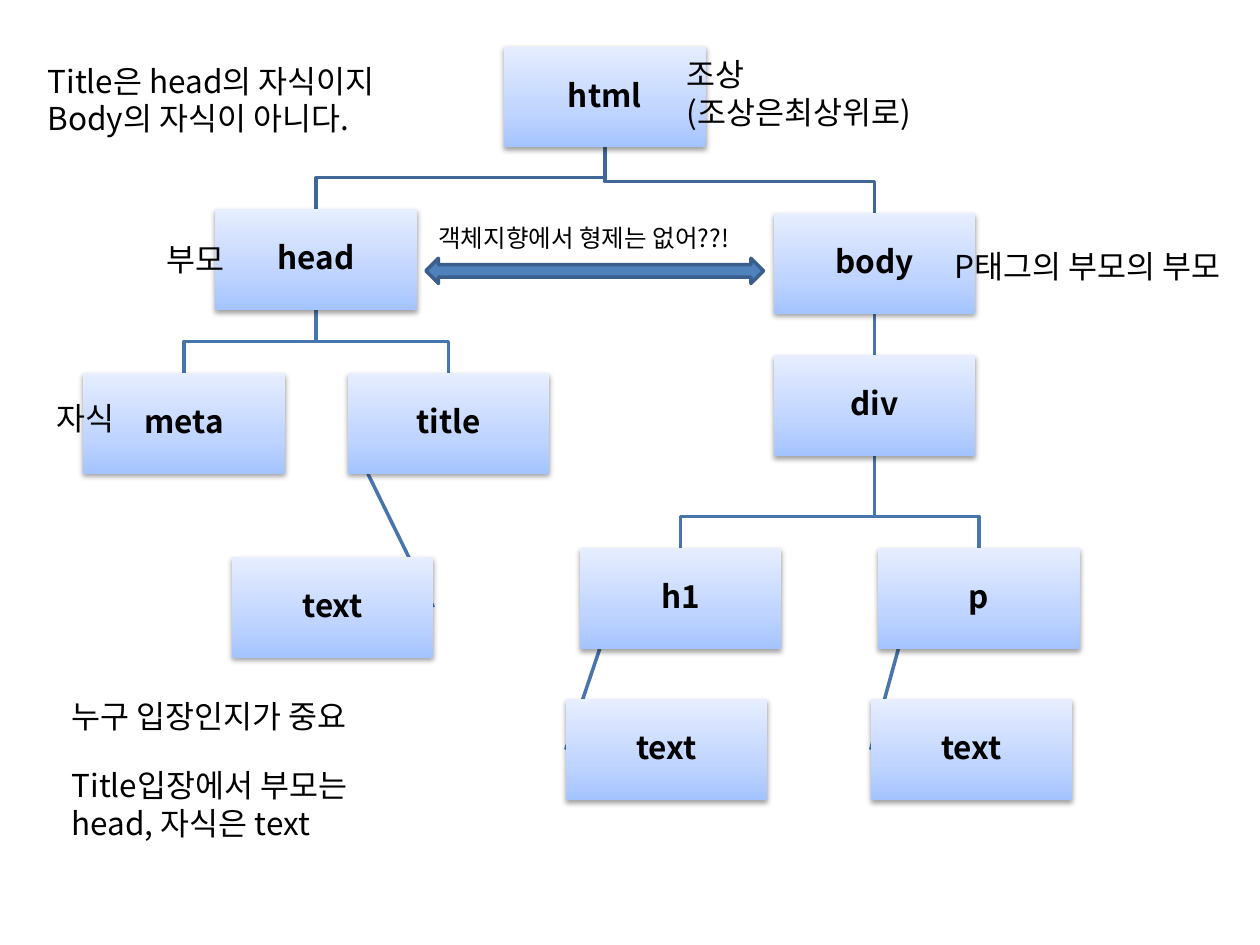
from copy import deepcopy

from lxml.etree import SubElement
from pptx import Presentation
from pptx.dml.color import RGBColor as RGB
from pptx.enum.shapes import MSO_CONNECTOR as CONNECTOR, MSO_SHAPE as SHAPE
from pptx.enum.text import MSO_ANCHOR as ANCHOR, MSO_AUTO_SIZE as AUTO, PP_ALIGN as ALIGN
from pptx.oxml.ns import qn
from pptx.util import Inches, Pt

# key: (tag, left, top)
NODES = {
    "html": ("html", 4, 0.37),
    "head": ("head", 1.71, 1.66),
    "meta": ("meta", 0.66, 2.96),
    "title": ("title", 2.76, 2.96),
    "title text": ("text", 1.84, 4.42),
    "body": ("body", 6.14, 1.69),
    "div": ("div", 6.14, 2.82),
    "h1": ("h1", 4.6, 4.35),
    "h1 text": ("text", 4.49, 5.55),
    "p": ("p", 6.97, 4.35),
    "p text": ("text", 6.91, 5.55),
}
# parent, child, colour
ELBOWS = [
    ("div", "p", "branch"),
    ("div", "h1", "branch"),
    ("html", "body", "trunk"),
    ("head", "title", "branch"),
    ("head", "meta", "branch"),
    ("html", "head", "trunk"),
]
# parent, child, side of the child that is met
HANGING = [("p", "p text", 1), ("h1", "h1 text", 1), ("title", "title text", 3)]
# paragraphs, left, top, width, height, size
NOTES = [
    (["부모"], 1.22, 1.86, 0.71, 0.4, "body"),
    (["자식"], 0.35, 3.12, 0.71, 0.4, "body"),
    (["Title은 head의 자식이지", "Body의 자식이 아니다."], 0.28, 0.44, 2.94, 0.71, "body"),
    (["객체지향에서 형제는 없어??!"], 3.38, 1.72, 2.68, 0.34, "small"),
    (["누구 입장인지가 중요"], 0.47, 5.48, 2.65, 0.4, "body"),
    (["Title입장에서 부모는 head, 자식은 text"], 0.47, 6.03, 2.91, 0.71, "body"),
    (["조상", "(조상은최상위로)"], 5.35, 0.39, 2.12, 0.71, "body"),
    (["P태그의 부모의 부모"], 7.48, 1.91, 2.54, 0.4, "body"),
]
SIBLING_ARROW = (3.38, 2.05, 2.68, 0.2)
NODE_W, NODE_H = 1.6, 0.8
ELBOW_RISE = 0.25
HANG_INSET = 0.16

THEME = {
    "font": "Noto Sans CJK KR",
    "body": Pt(18),
    "small": Pt(14),
    "line": Pt(2),
    "text": RGB.from_string("000000"),
    "branch": RGB.from_string("4875AC"),
    "trunk": RGB.from_string("3F6797"),
    "arrow": RGB.from_string("4F81BD"),
    "arrow edge": RGB.from_string("3A5F8C"),
    "node": [(0, "A4C4FF"), (0.35, "BFD4FF"), (1, "E6EEFF")],
}
NODE_FRAME = {
    "vertical_anchor": ANCHOR.MIDDLE, "word_wrap": True,
    **{f"margin_{side}": Inches(0.01) for side in ("left", "top", "right", "bottom")},
}
NOTE_FRAME = {"word_wrap": True, "auto_size": AUTO.SHAPE_TO_FIT_TEXT}


def apply(target, values):
    for name, value in values.items():
        setattr(target, name, value)


def write(frame, lines, size, frame_format, bold=False, **paragraph_format):
    apply(frame, frame_format)
    for index, line in enumerate(lines):
        paragraph = frame.add_paragraph() if index else frame.paragraphs[0]
        apply(paragraph, paragraph_format)
        run = paragraph.add_run()
        run.text = line
        apply(run.font, {"size": THEME[size], "name": THEME["font"], "bold": bold})
        run.font.color.rgb = THEME["text"]
        SubElement(run.font._element, qn("a:ea"), typeface=THEME["font"])


def stroke(line, colour):
    line.color.rgb = THEME[colour]
    line.width = THEME["line"]


def add_node(shapes, tag, left, top):
    node = shapes.add_shape(SHAPE.RECTANGLE, *map(Inches, (left, top, NODE_W, NODE_H)))
    node.fill.gradient()
    node.fill.gradient_angle = 90
    properties = node._element.spPr
    stops = properties.find(".//" + qn("a:gsLst"))
    stops.append(deepcopy(stops[-1]))
    for stop, (position, colour) in zip(node.fill.gradient_stops, THEME["node"]):
        stop.position = position
        stop.color.rgb = RGB.from_string(colour)
    node.line.fill.background()
    node.shadow.inherit = False
    shadow = SubElement(properties.find(qn("a:effectLst")), qn("a:outerShdw"),
                        blurRad="40000", dist="20000", dir="5400000", rotWithShape="0")
    shade = SubElement(shadow, qn("a:srgbClr"), val="000000")
    SubElement(shade, qn("a:alpha"), val="38000")
    write(node.text_frame, [tag], "body", NODE_FRAME, bold=True,
          alignment=ALIGN.CENTER, line_spacing=0.9)
    return node


def add_elbow(shapes, parent, child, colour):
    start_x, end_x = (node.left + node.width // 2 for node in (parent, child))
    start_y = parent.top + parent.height
    bend_y = child.top - Inches(ELBOW_RISE)
    builder = shapes.build_freeform(start_x, start_y)
    builder.add_line_segments(
        [(start_x, bend_y), (end_x, bend_y), (end_x, child.top)], close=False)
    elbow = builder.convert_to_shape()
    elbow.fill.background()
    elbow.shadow.inherit = False
    stroke(elbow.line, colour)
    return elbow


def add_straight(shapes, parent, child, side, centred=False):
    """Run from the parent's lower edge to the middle of one side of the child."""
    x, y = parent.left + Inches(HANG_INSET), parent.top + parent.height
    link = shapes.add_connector(CONNECTOR.STRAIGHT, x, y, x, y)
    # Connection sites on a rectangle: 0 top, 1 left, 2 bottom, 3 right
    if centred:
        link.begin_connect(parent, 2)
    link.end_connect(child, side)
    stroke(link.line, "branch")
    SubElement(link._element.spPr, qn("a:effectLst"))
    return link


def main():
    deck = Presentation()
    deck.slide_width, deck.slide_height = Inches(10), Inches(7.5)
    shapes = deck.slides.add_slide(deck.slide_layouts[6]).shapes

    nodes = {key: add_node(shapes, *node) for key, node in NODES.items()}
    links = [add_elbow(shapes, nodes[parent], nodes[child], colour)
             for parent, child, colour in ELBOWS]
    links += [add_straight(shapes, nodes[parent], nodes[child], side)
              for parent, child, side in HANGING]
    links.append(add_straight(shapes, nodes["body"], nodes["div"], 0, centred=True))
    first_node = nodes["html"]._element
    for link in links:
        first_node.addprevious(link._element)

    arrow = shapes.add_shape(SHAPE.LEFT_RIGHT_ARROW, *map(Inches, SIBLING_ARROW))
    arrow.fill.solid()
    arrow.fill.fore_color.rgb = THEME["arrow"]
    arrow.shadow.inherit = False
    stroke(arrow.line, "arrow edge")

    for lines, left, top, width, height, size in NOTES:
        note = shapes.add_textbox(*map(Inches, (left, top, width, height)))
        write(note.text_frame, lines, size, NOTE_FRAME)

    deck.save("out.pptx")


if __name__ == "__main__":
    main()
